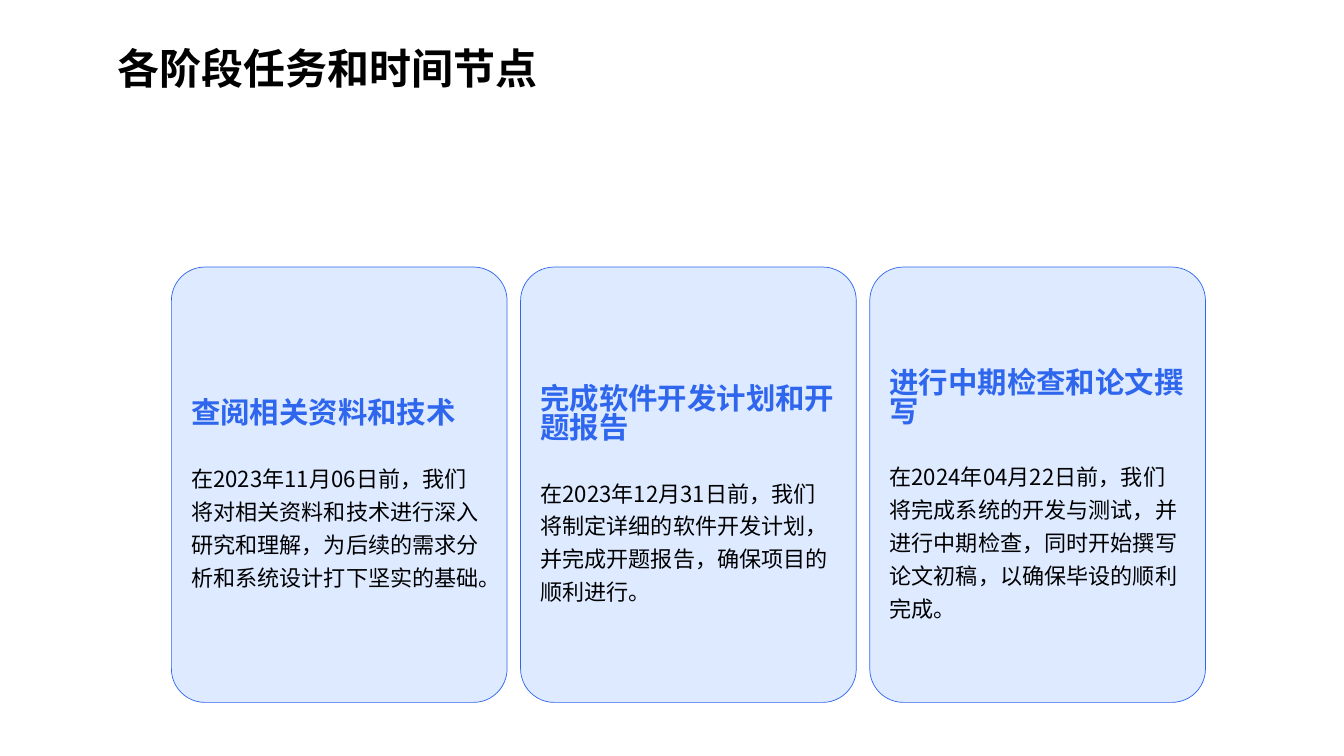
from pptx import Presentation
from pptx.dml.color import RGBColor
from pptx.enum.shapes import MSO_SHAPE
from pptx.enum.text import MSO_ANCHOR, PP_ALIGN
from pptx.oxml.ns import qn
from pptx.util import Cm, Pt
from lxml.etree import SubElement

FONT = "Noto Sans CJK SC"
BLUE, PALE_BLUE, BLACK = "2F66EE", "DEEAFF", "000000"

CARD_LEFT, CARD_TOP, CARD_STEP = 4.32, 6.73, 8.8
CARD_WIDTH, CARD_HEIGHT = 8.46, 10.97

STAGES = [
    ("查阅相关资料和技术",
     "在2023年11月06日前，我们将对相关资料和技术进行深入研究和理解，为后续的需求分析和系统设计打下坚实的基础。"),
    ("完成软件开发计划和开题报告",
     "在2023年12月31日前，我们将制定详细的软件开发计划，并完成开题报告，确保项目的顺利进行。"),
    ("进行中期检查和论文撰写",
     "在2024年04月22日前，我们将完成系统的开发与测试，并进行中期检查，同时开始撰写论文初稿，以确保毕设的顺利完成。"),
]


def color(value):
    return RGBColor.from_string(value)


def write(para, text, size, fill, bold=False, spacing=1.0):
    para.alignment = PP_ALIGN.LEFT
    para.line_spacing = spacing
    span = para.add_run()
    span.text = text
    span.font.size = Pt(size)
    span.font.bold = bold
    span.font.name = FONT
    span.font.color.rgb = color(fill)
    # East Asian characters take their own typeface entry
    SubElement(span.font._element, qn("a:ea"), typeface=FONT)


def add_title(page, text):
    box = page.shapes.add_textbox(Cm(2.72), Cm(0.3), Cm(26.04), Cm(2.16))
    frame = box.text_frame
    frame.word_wrap = True
    frame.vertical_anchor = MSO_ANCHOR.MIDDLE
    write(frame.paragraphs[0], text, 30, BLACK, bold=True, spacing=1.5)


def add_card(page, left, heading, body):
    card = page.shapes.add_shape(MSO_SHAPE.ROUNDED_RECTANGLE, Cm(left), Cm(CARD_TOP),
                                 Cm(CARD_WIDTH), Cm(CARD_HEIGHT))
    card.adjustments[0] = 0.1
    card.shadow.inherit = False
    card.fill.solid()
    card.fill.fore_color.rgb = color(PALE_BLUE)
    card.line.color.rgb = color(BLUE)
    card.line.width = Pt(0.5)

    frame = card.text_frame
    frame.word_wrap = True
    frame.vertical_anchor = MSO_ANCHOR.MIDDLE
    frame.margin_top = Cm(0.68)
    write(frame.paragraphs[0], heading, 21, BLUE, bold=True, spacing=0.82)
    para = frame.add_paragraph()
    para.space_before = Pt(21)
    write(para, body, 15.8, BLACK, spacing=1.24)


def main():
    deck = Presentation()
    deck.slide_width, deck.slide_height = Cm(33.87), Cm(19.05)
    page = deck.slides.add_slide(deck.slide_layouts[6])

    # Title
    add_title(page, "各阶段任务和时间节点")

    # One card per stage
    for index, (heading, body) in enumerate(STAGES):
        add_card(page, CARD_LEFT + index * CARD_STEP, heading, body)

    deck.save("out.pptx")


if __name__ == "__main__":
    main()
